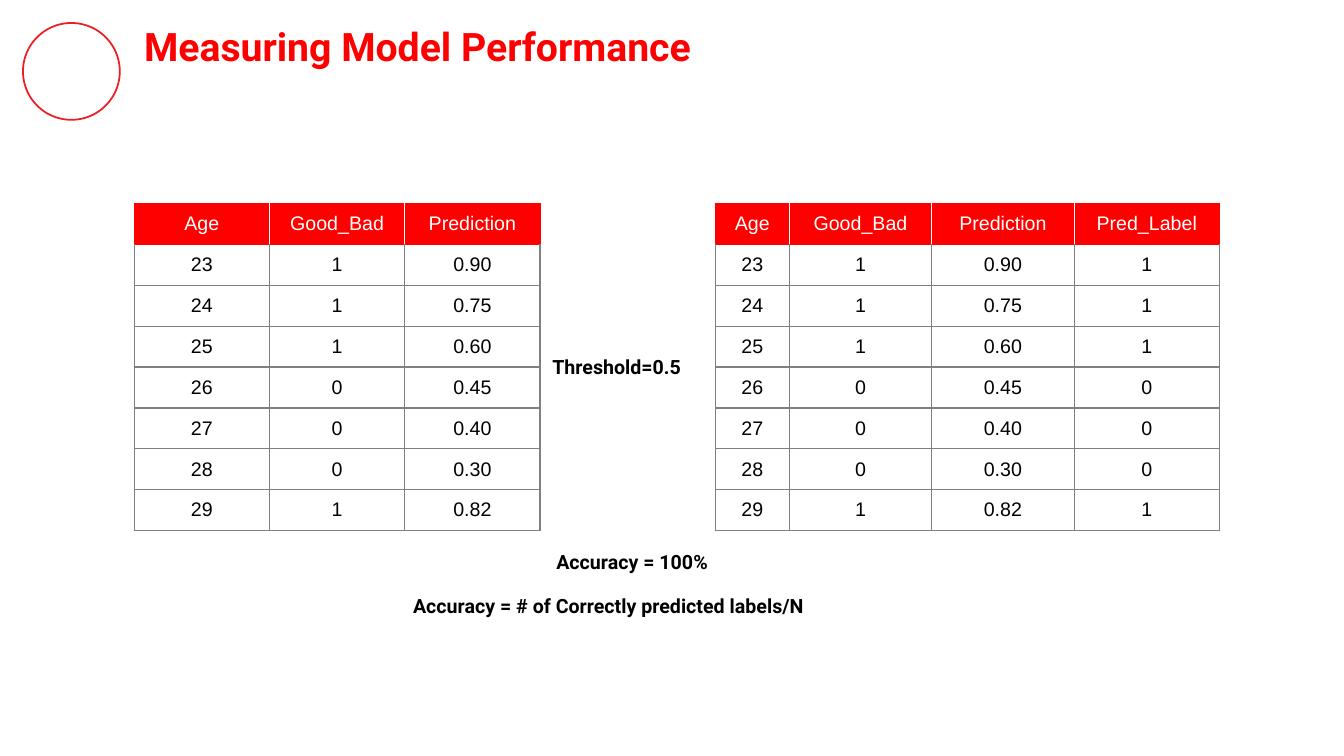
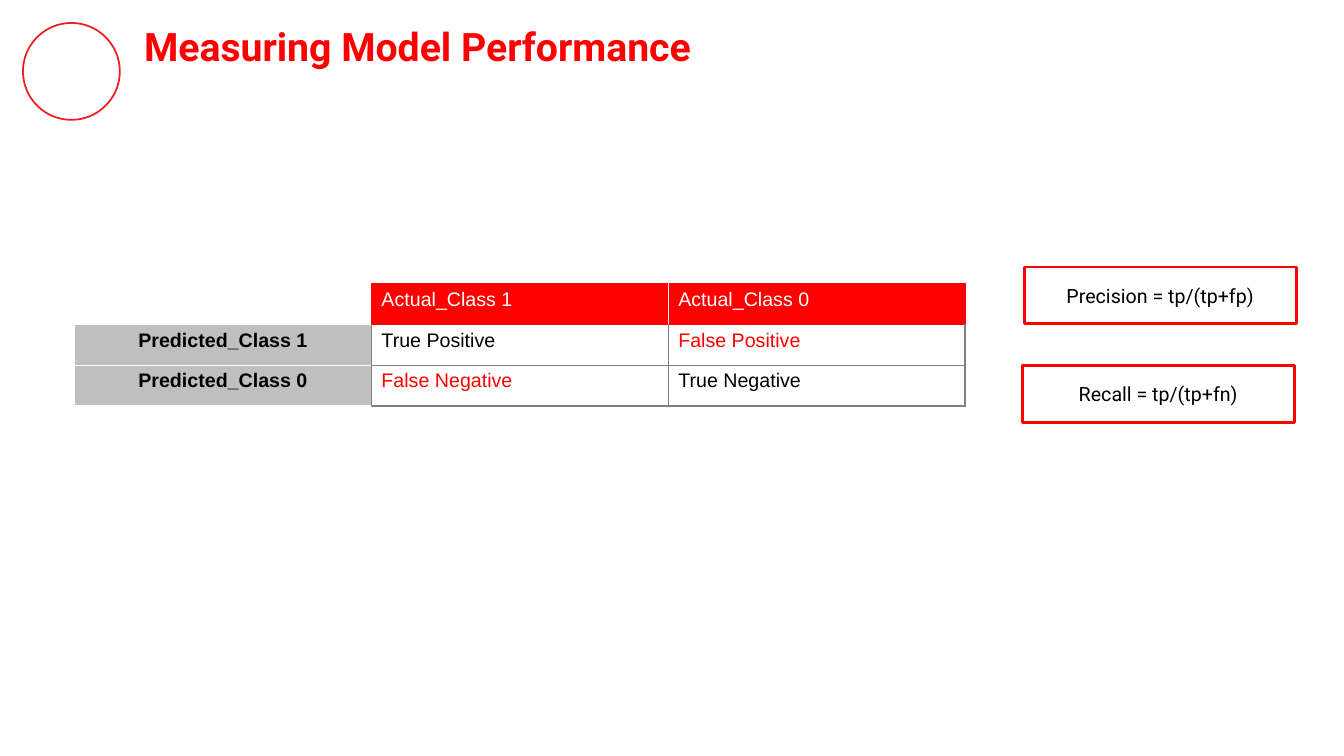
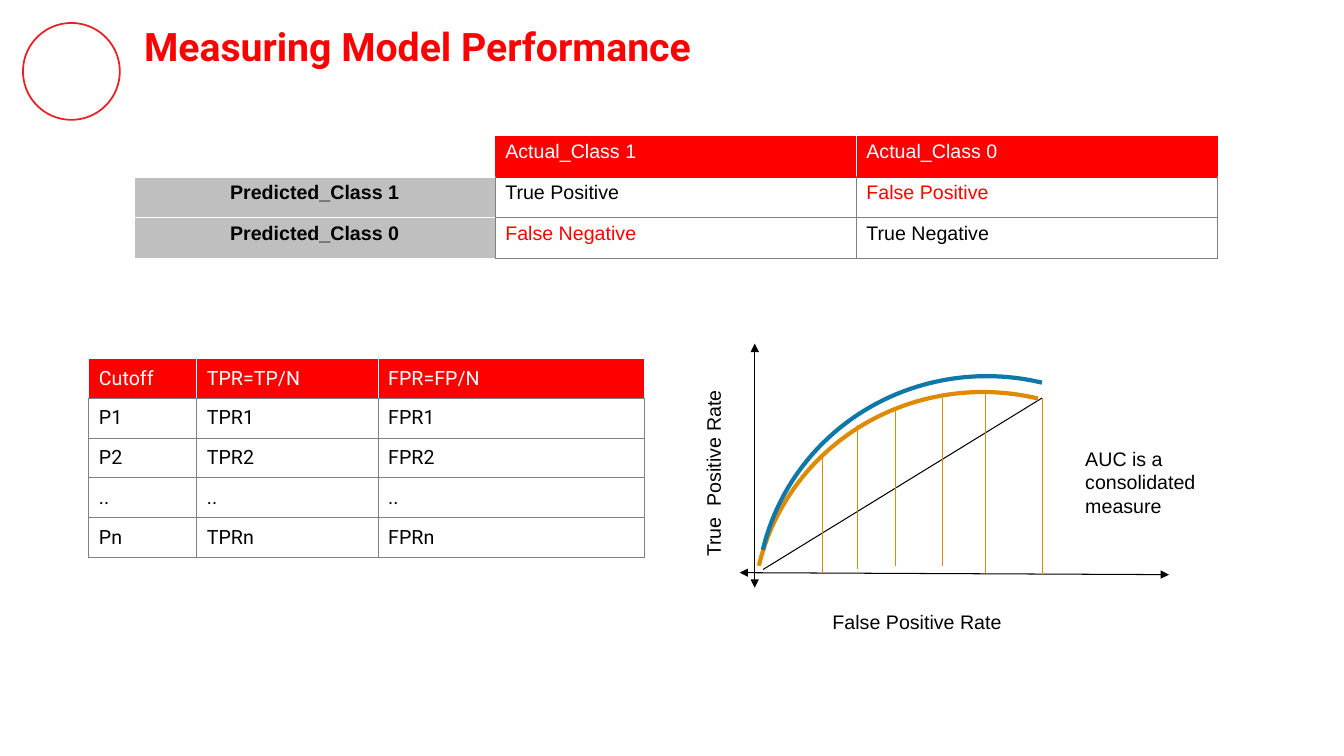
from pptx import Presentation
from pptx.dml.color import RGBColor
from pptx.enum.shapes import MSO_CONNECTOR, MSO_SHAPE
from pptx.enum.text import MSO_ANCHOR, MSO_AUTO_SIZE, PP_ALIGN
from pptx.oxml.ns import qn
from pptx.util import Cm, Pt
from lxml.etree import SubElement

RED = RGBColor(0xFF, 0x00, 0x00)
TITLE_RED = RGBColor(0xFF, 0x00, 0x01)
RING_RED = RGBColor(0xED, 0x1D, 0x24)
WHITE = RGBColor(0xFF, 0xFF, 0xFF)
BLACK = RGBColor(0x00, 0x00, 0x00)
GREY = RGBColor(0x80, 0x80, 0x80)
LABEL_GREY = RGBColor(0xBF, 0xBF, 0xBF)
ORANGE = RGBColor(0xDE, 0x8B, 0x04)
BLUE = RGBColor(0x10, 0x77, 0xA9)

ARIAL = "Arial"
ROBOTO = "Roboto"
BODY_SIZE = 14
TITLE_ONLY = 5
GREY_EDGES = (GREY, GREY, GREY, GREY)

PREDICTIONS = [
    ("23", "1", "0.90", "1"),
    ("24", "1", "0.75", "1"),
    ("25", "1", "0.60", "1"),
    ("26", "0", "0.45", "0"),
    ("27", "0", "0.40", "0"),
    ("28", "0", "0.30", "0"),
    ("29", "1", "0.82", "1"),
]
PREDICTION_HEADER = ("Age", "Good_Bad", "Prediction", "Pred_Label")


def write_text(text_frame, text, font_name, color=BLACK, size=BODY_SIZE,
               bold=False, alignment=PP_ALIGN.LEFT):
    text_frame.text = text
    for paragraph in text_frame.paragraphs:
        paragraph.alignment = alignment
        for run in paragraph.runs:
            run.font.name = font_name
            run.font.size = Pt(size)
            run.font.bold = bold
            run.font.color.rgb = color


def add_titled_slide(presentation):
    slide = presentation.slides.add_slide(presentation.slide_layouts[TITLE_ONLY])
    title = slide.shapes.title
    title.left, title.top, title.width, title.height = Cm(3.38), Cm(0.3), Cm(28.4), Cm(1.7)
    text_frame = title.text_frame
    text_frame.auto_size = MSO_AUTO_SIZE.NONE
    text_frame.vertical_anchor = MSO_ANCHOR.TOP
    text_frame.margin_left = text_frame.margin_right = Cm(0.25)
    text_frame.margin_top = text_frame.margin_bottom = Cm(0.25)
    write_text(text_frame, "Measuring Model Performance", ROBOTO, TITLE_RED, 28, True)
    add_outline(slide, MSO_SHAPE.OVAL, 0.58, 0.58, 2.44, 2.44, RING_RED, 1.25)
    return slide


def add_outline(slide, kind, left, top, width, height, color, line_width):
    shape = slide.shapes.add_shape(kind, Cm(left), Cm(top), Cm(width), Cm(height))
    shape.shadow.inherit = False
    shape.fill.background()
    shape.line.color.rgb = color
    shape.line.width = Pt(line_width)
    return shape


def add_formula(slide, left, top, text):
    box = add_outline(slide, MSO_SHAPE.RECTANGLE, left, top, 6.86, 1.42, RED, 2)
    box.fill.solid()
    box.fill.fore_color.rgb = WHITE
    box.text_frame.vertical_anchor = MSO_ANCHOR.MIDDLE
    write_text(box.text_frame, text, ROBOTO, alignment=PP_ALIGN.CENTER)


def add_text(slide, left, top, width, height, text, font_name, bold=False, rotation=0):
    box = slide.shapes.add_textbox(Cm(left), Cm(top), Cm(width), Cm(height))
    box.rotation = rotation
    box.text_frame.word_wrap = True
    write_text(box.text_frame, text, font_name, bold=bold)


def add_line(slide, start, end, color, arrows=False):
    connector = slide.shapes.add_connector(
        MSO_CONNECTOR.STRAIGHT, *(Cm(length) for length in start + end))
    connector.line.color.rgb = color
    connector.line.width = Pt(0.75)
    properties = connector._element.spPr
    if arrows:
        line = properties.find(qn("a:ln"))
        for tag in ("a:headEnd", "a:tailEnd"):
            SubElement(line, qn(tag), type="triangle")
    SubElement(properties, qn("a:effectLst"))


def set_edges(cell, colors):
    properties = cell._tc.get_or_add_tcPr()
    for tag, color in zip(("a:lnL", "a:lnR", "a:lnT", "a:lnB"), colors):
        line = SubElement(properties, qn(tag), w=str(Pt(1)))
        fill = SubElement(line, qn("a:solidFill"))
        SubElement(fill, qn("a:srgbClr"), val=str(color))


def format_cell(cell, text, font_name, edges, fill=WHITE, color=BLACK, bold=False,
                alignment=PP_ALIGN.LEFT, anchor=MSO_ANCHOR.TOP):
    write_text(cell.text_frame, text, font_name, color, bold=bold, alignment=alignment)
    cell.vertical_anchor = anchor
    set_edges(cell, edges)
    if fill is None:
        cell.fill.background()
    else:
        cell.fill.solid()
        cell.fill.fore_color.rgb = fill


def add_grid(slide, left, top, widths, row_height, row_count):
    table = slide.shapes.add_table(
        row_count, len(widths), Cm(left), Cm(top),
        Cm(sum(widths)), Cm(row_height * row_count)).table
    table.first_row = table.horz_banding = False
    for column, width in zip(table.columns, widths):
        column.width = Cm(width)
    for row in table.rows:
        row.height = Cm(row_height)
    return table


def add_data_table(slide, left, top, widths, row_height, rows, font_name, alignment,
                   frame, rule):
    table = add_grid(slide, left, top, widths, row_height, len(rows))
    last = len(widths) - 1
    for row, texts in enumerate(rows):
        for column, text in enumerate(texts):
            if row == 0:
                edges = (WHITE if column else frame,
                         WHITE if column < last else frame, frame, rule)
                fill, color = RED, WHITE
            else:
                edges = (GREY, GREY, rule if row == 1 else GREY, GREY)
                fill, color = WHITE, BLACK
            format_cell(table.cell(row, column), text, font_name, edges, fill, color,
                        alignment=alignment, anchor=MSO_ANCHOR.MIDDLE)


def add_confusion_matrix(slide, left, top, column_width):
    table = add_grid(slide, left, top, [column_width] * 3, 1.03, 3)
    format_cell(table.cell(0, 0), "", ARIAL, (WHITE, RED, WHITE, WHITE), None)
    for column, edges in ((1, (RED, WHITE, RED, RED)), (2, (WHITE, RED, RED, RED))):
        format_cell(table.cell(0, column), f"Actual_Class {2 - column}", ARIAL, edges,
                    RED, WHITE)
    outcomes = (("True Positive", "False Positive"), ("False Negative", "True Negative"))
    for row, texts in enumerate(outcomes, 1):
        format_cell(table.cell(row, 0), f"Predicted_Class {2 - row}", ARIAL,
                    (WHITE, GREY, WHITE, WHITE), LABEL_GREY, bold=True,
                    alignment=PP_ALIGN.CENTER)
        edges = (GREY, GREY, RED, GREY) if row == 1 else GREY_EDGES
        for column, text in enumerate(texts, 1):
            color = BLACK if row == column else RED
            format_cell(table.cell(row, column), text, ARIAL, edges, color=color)


def add_roc_sketch(slide):
    add_line(slide, (19.02, 8.66), (19.02, 14.81), BLACK, True)
    add_line(slide, (18.64, 14.43), (29.46, 14.48), BLACK, True)
    add_line(slide, (19.23, 14.35), (26.26, 10.03), BLACK)
    for left, top, color in ((19.1, 9.75, ORANGE), (19.2, 9.35, BLUE)):
        curve = add_outline(slide, MSO_SHAPE.ARC, left, top, 11.46, 11.73, color, 3)
        curve.rotation = 283.4
    for x, top, bottom in (
        (20.73, 11.51, 14.43), (21.62, 10.72, 14.35), (22.56, 10.34, 14.27),
        (23.75, 10.03, 14.25), (24.84, 9.83, 14.45), (26.26, 10.03, 14.48),
    ):
        add_line(slide, (x, top), (x, bottom), ORANGE)
    add_text(slide, 20.73, 15.24, 5.54, 1.02, "False Positive Rate", ARIAL)
    add_text(slide, 15.29, 11, 5.54, 1.02, "True  Positive Rate", ARIAL, rotation=270)
    add_text(slide, 27.1, 11.13, 4.88, 2.57, "AUC is a consolidated measure", ARIAL)


def build_accuracy_slide(presentation):
    slide = add_titled_slide(presentation)
    rows = [PREDICTION_HEADER] + PREDICTIONS
    for left, widths in ((3.38, [3.41] * 3), (18.03, [1.86, 3.59, 3.59, 3.66])):
        shown = [row[:len(widths)] for row in rows]
        add_data_table(slide, left, 5.13, widths, 1.03, shown, ARIAL,
                       PP_ALIGN.CENTER, RED, RED)
    add_text(slide, 13.77, 13.72, 5.16, 0.86, "Accuracy = 100%", ROBOTO, True)
    add_text(slide, 10.16, 14.83, 12.4, 0.86,
             "Accuracy = # of Correctly predicted labels/N", ROBOTO, True)
    add_text(slide, 13.67, 8.81, 4.24, 0.86, "Threshold=0.5", ROBOTO, True)


def build_precision_slide(presentation):
    slide = add_titled_slide(presentation)
    add_formula(slide, 25.81, 6.73, "Precision = tp/(tp+fp)")
    add_formula(slide, 25.76, 9.22, "Recall = tp/(tp+fn)")
    add_confusion_matrix(slide, 1.88, 7.14, 7.48)


def build_roc_slide(presentation):
    slide = add_titled_slide(presentation)
    add_confusion_matrix(slide, 3.38, 3.43, 9.1)
    rows = [("Cutoff", "TPR=TP/N", "FPR=FP/N")]
    rows += [(f"P{index}", f"TPR{index}", f"FPR{index}") for index in "12n"]
    rows.insert(3, ("..", "..", ".."))
    add_data_table(slide, 2.24, 9.04, [2.72, 4.57, 6.71], 1, rows, ROBOTO,
                   PP_ALIGN.LEFT, WHITE, GREY)
    add_roc_sketch(slide)


def main():
    presentation = Presentation()
    presentation.slide_width, presentation.slide_height = Cm(33.87), Cm(19.05)
    build_accuracy_slide(presentation)
    build_precision_slide(presentation)
    build_roc_slide(presentation)
    presentation.save("out.pptx")


if __name__ == "__main__":
    main()
